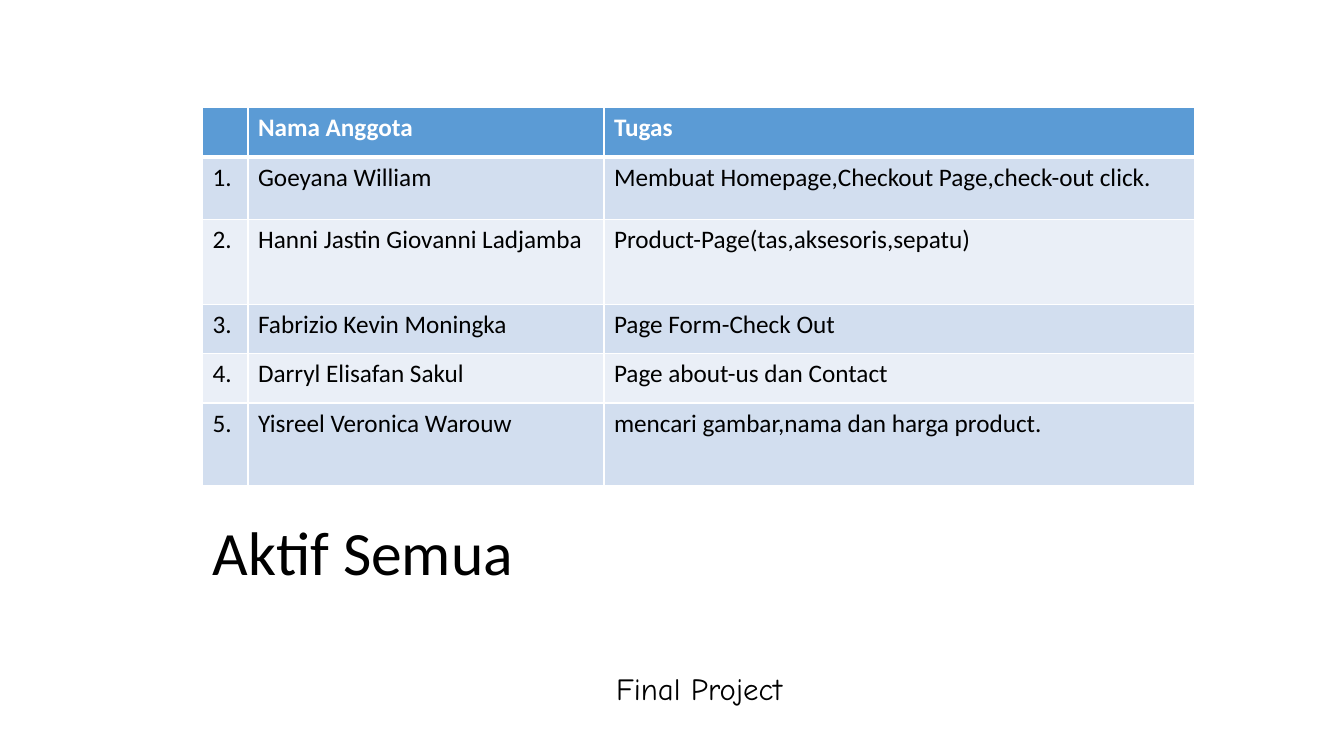
import pptx
import pptx.util
import pptx.dml.color
import pptx.enum.text
import pptx.oxml
import pptx.oxml.ns

PX = 9144
ALIGN = pptx.enum.text.PP_ALIGN
FRAME = {
    "word_wrap": True,
    "auto_size": pptx.enum.text.MSO_AUTO_SIZE.NONE,
    "vertical_anchor": pptx.enum.text.MSO_ANCHOR.TOP,
}
COLS = [45, 353, 586]
ROWS = [49, 62, 84, 49, 49, 82]
TEAM = [
    ("", "Nama Anggota", "Tugas"),
    ("1.", "Goeyana William", "Membuat Homepage,Checkout Page,check-out click."),
    ("2.", "Hanni Jastin Giovanni Ladjamba", "Product-Page(tas,aksesoris,sepatu)"),
    ("3.", "Fabrizio Kevin Moningka", "Page Form-Check Out"),
    ("4.", "Darryl Elisafan Sakul", "Page about-us dan Contact"),
    ("5.", "Yisreel Veronica Warouw", "mencari gambar,nama dan harga product."),
]


def px(size):
    return pptx.util.Emu(size * PX)


def color(code):
    return pptx.dml.color.RGBColor.from_string(code)


def apply(item, values):
    for name, value in values.items():
        setattr(item, name, value)


def write(frame, text, size, face="Calibri", ink="000000", bold=False, align=ALIGN.LEFT):
    frame.text = text
    line = frame.paragraphs[0]
    line.alignment = align
    apply(line.font, {"name": face, "size": pptx.util.Pt(size), "bold": bold})
    line.font.color.rgb = color(ink)


def border(cell, head):
    props = cell._tc.get_or_add_tcPr()
    for side in "LRTB":
        width = pptx.util.Pt(3 if head and side == "B" else 1)
        props.append(pptx.oxml.parse_xml(
            f'<a:ln{side} {pptx.oxml.ns.nsdecls("a")} w="{width}"><a:solidFill>'
            f'<a:srgbClr val="FFFFFF"/></a:solidFill></a:ln{side}>'))


def draw_team(slide, box):
    frame = slide.shapes.add_table(len(ROWS), len(COLS), *map(px, box))
    table = frame.table
    for col, width in zip(table.columns, COLS):
        col.width = px(width)
    for row, (height, texts) in enumerate(zip(ROWS, TEAM)):
        table.rows[row].height = px(height)
        head = row == 0
        fill = "5B9BD5" if head else ("EAEFF7", "D2DEEF")[row % 2]
        for cell, text in zip(table.rows[row].cells, texts):
            border(cell, head)
            cell.fill.solid()
            cell.fill.fore_color.rgb = color(fill)
            write(cell.text_frame, text, 18, ink="FFFFFF" if head else "000000", bold=head)


def draw_title(slide, box):
    title = slide.shapes.title
    apply(title, dict(zip(("left", "top", "width", "height"), map(px, box))))
    apply(title.text_frame, FRAME)
    write(title.text_frame, "Aktif Semua", 44)


def draw_foot(slide, box):
    foot = slide.shapes.add_textbox(*map(px, box))
    apply(foot.text_frame, FRAME)
    write(foot.text_frame, "Final Project", 22, face="Comic Neue", align=ALIGN.CENTER)


def main():
    deck = pptx.Presentation()
    apply(deck, {"slide_width": px(1333), "slide_height": px(750)})
    slide = deck.slides.add_slide(deck.slide_layouts[5])
    draw_foot(slide, (92, 660, 1203, 47))
    draw_team(slide, (201, 107, sum(COLS), sum(ROWS)))
    draw_title(slide, (201, 505, 973, 84))
    deck.save("out.pptx")


if __name__ == "__main__":
    main()
